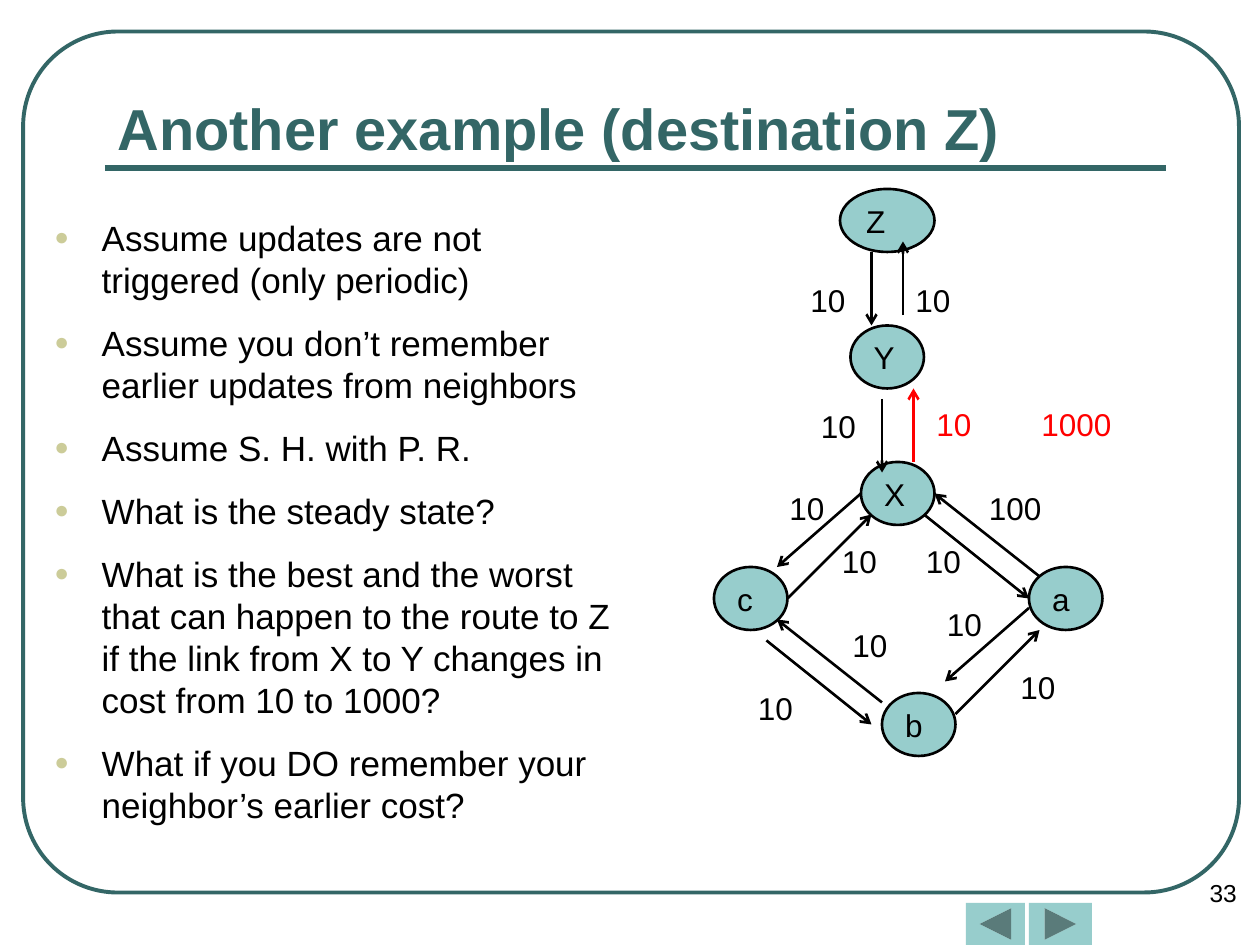
from lxml.etree import SubElement
from pptx import Presentation
from pptx.dml.color import RGBColor
from pptx.enum.shapes import MSO_CONNECTOR as CONNECTOR, MSO_SHAPE as SHAPE
from pptx.enum.text import MSO_ANCHOR as ANCHOR, MSO_AUTO_SIZE as AUTO_SIZE, PP_ALIGN as ALIGN
from pptx.oxml.ns import qn
from pptx.util import Cm, Pt

COLORS = {"teal": "336666", "aqua": "97CDCC", "sand": "CCCC99",
          "black": "000000", "red": "FF0000"}
FONT = "Arial"
TITLE = "Another example (destination Z)"
PAGE_NUMBER = "33"
POINTS = [
    "Assume updates are not triggered (only periodic)",
    "Assume you don’t remember earlier updates from neighbors",
    "Assume S. H. with P. R.",
    "What is the steady state?",
    "What is the best and the worst that can happen to the route to Z "
    "if the link from X to Y changes in cost from 10 to 1000?",
    "What if you DO remember your neighbor’s earlier cost?",
]

# All places below are on a grid of twelve units to the inch.
NODE_HEIGHT = 6
NODES = [("Z", 80, 18, 9), ("Y", 81, 31, 7), ("X", 82, 44, 7),
         ("a", 98, 54, 7), ("b", 84, 66, 7), ("c", 68, 54, 7)]
# Start and tip of each directed link, with its colour
LINKS = [
    ((83, 24), (83, 31), "black"), ((86, 30), (86, 23), "black"),
    ((84, 38), (84, 45), "black"), ((87, 44), (87, 37), "red"),
    ((82, 47), (74, 54), "black"), ((75, 57), (83, 49), "black"),
    ((98, 57.9), (90, 64.9), "black"), ((91, 68), (99, 60), "black"),
    ((99, 54.9), (89, 47), "black"), ((88, 49), (98, 57), "black"),
    ((84, 66.9), (74, 59), "black"), ((73, 61), (83, 69), "black"),
]
COSTS = [
    ("10", 76, 26.2, "black"), ("10", 86, 26.2, "black"),
    ("10", 77, 38.2, "black"), ("10", 88, 38, "red"), ("1000", 98, 38, "red"),
    ("10", 74, 46, "black"), ("100", 93, 46, "black"),
    ("10", 79, 51, "black"), ("10", 87, 51, "black"),
    ("10", 89, 57, "black"), ("10", 80, 59, "black"),
    ("10", 96, 63, "black"), ("10", 71, 65, "black"),
]
BUTTONS = [(SHAPE.ACTION_BUTTON_FORWARD_OR_NEXT, 98, 6),
           (SHAPE.ACTION_BUTTON_BACK_OR_PREVIOUS, 92, 5.6)]


def grid(*units):
    """Turn grid units into lengths."""
    return [Cm(unit * 2.54 / 12) for unit in units]


def rgb(name):
    """Look up a colour by name."""
    return RGBColor.from_string(COLORS[name])


def format_text(frame, size, color="black", bold=False):
    """Format every run of a text frame."""
    for para in frame.paragraphs:
        for span in para.runs:
            span.font.name, span.font.size, span.font.bold = FONT, Pt(size), bold
            span.font.color.rgb = rgb(color)


def add_shape(page, kind, place, fill=None, line=None, width=1.5):
    """Add a preset shape without shadow."""
    shape = page.shapes.add_shape(kind, *grid(*place))
    shape.shadow.inherit = False
    if fill:
        shape.fill.solid()
        shape.fill.fore_color.rgb = rgb(fill)
    else:
        shape.fill.background()
    if line:
        shape.line.color.rgb = rgb(line)
        shape.line.width = Pt(width)
    else:
        shape.line.fill.background()
    return shape


def add_line(page, start, end, color, width=1.5, arrow=False):
    """Add a straight line, with an arrowhead at its end if asked."""
    line = page.shapes.add_connector(CONNECTOR.STRAIGHT, *grid(*start, *end))
    line.line.color.rgb = rgb(color)
    line.line.width = Pt(width)
    if arrow:
        SubElement(line.line._get_or_add_ln(), qn("a:tailEnd"), type="arrow")
    SubElement(line._element.spPr, qn("a:effectLst"))


def add_text(page, place, text, size, color="black", wrap=True):
    """Add a text box and return its frame."""
    frame = page.shapes.add_textbox(*grid(*place)).text_frame
    frame.word_wrap = wrap
    frame.text = text
    format_text(frame, size, color)
    return frame


def add_bullet(para):
    """Give a paragraph a hanging round bullet."""
    props = para._p.get_or_add_pPr()
    indent = grid(4.5)[0]
    props.set("marL", str(indent))
    props.set("indent", str(-indent))
    SubElement(SubElement(props, qn("a:buClr")), qn("a:srgbClr"), val=COLORS["sand"])
    SubElement(props, qn("a:buSzPct"), val="70000")
    SubElement(props, qn("a:buFont"), typeface=FONT)
    SubElement(props, qn("a:buChar"), char="●")


deck = Presentation()
deck.slide_width, deck.slide_height = Cm(25.4), Cm(19.05)
page = deck.slides.add_slide(deck.slide_layouts[5])

frame_shape = add_shape(page, SHAPE.ROUNDED_RECTANGLE, (2.2, 3, 115.8, 82),
                        line="teal", width=2.25)
frame_shape.adjustments[0] = 0.11
add_line(page, (10, 16), (111, 16), "teal", width=3)
for kind, left, width in BUTTONS:
    add_shape(page, kind, (left, 86, width, 4), fill="aqua")

title = page.shapes.title
title.left, title.top, title.width, title.height = grid(10, 7, 101, 9)
title.text_frame.text = TITLE
title.text_frame.auto_size = AUTO_SIZE.NONE
title.text_frame.vertical_anchor = ANCHOR.BOTTOM
title.text_frame.paragraphs[0].alignment = ALIGN.LEFT
format_text(title.text_frame, 33, "teal", bold=True)

body = add_text(page, (4, 20, 57, 60), "\n".join(POINTS), 20)
for para in body.paragraphs:
    para.line_spacing, para.space_after = Pt(24), Pt(12)
    add_bullet(para)

number = add_text(page, (106, 83, 21, 4), PAGE_NUMBER, 14)
number.paragraphs[0].alignment = ALIGN.CENTER

for name, left, top, width in NODES:
    node = add_shape(page, SHAPE.OVAL, (left, top, width, NODE_HEIGHT), "aqua", "black")
    node.text_frame.text = name
    node.text_frame.vertical_anchor = ANCHOR.MIDDLE
    node.text_frame.paragraphs[0].alignment = ALIGN.LEFT
    format_text(node.text_frame, 18)

for start, tip, color in LINKS:
    add_line(page, start, tip, color, arrow=True)

for cost, left, top, color in COSTS:
    width = 2.4 + 1.67 * len(cost)
    add_text(page, (left, top, width, 4.8), cost, 18, color, wrap=False)

deck.save("out.pptx")
